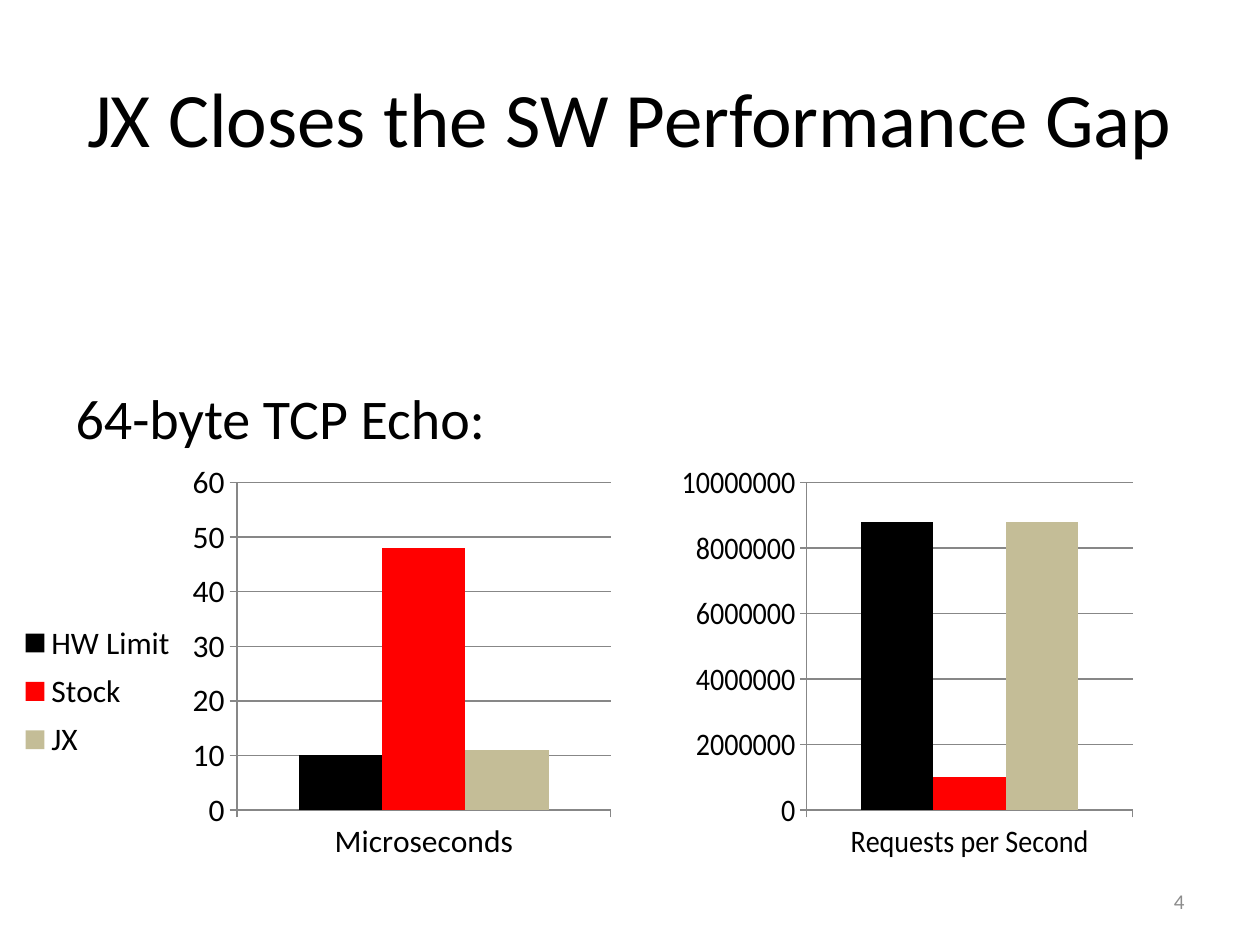
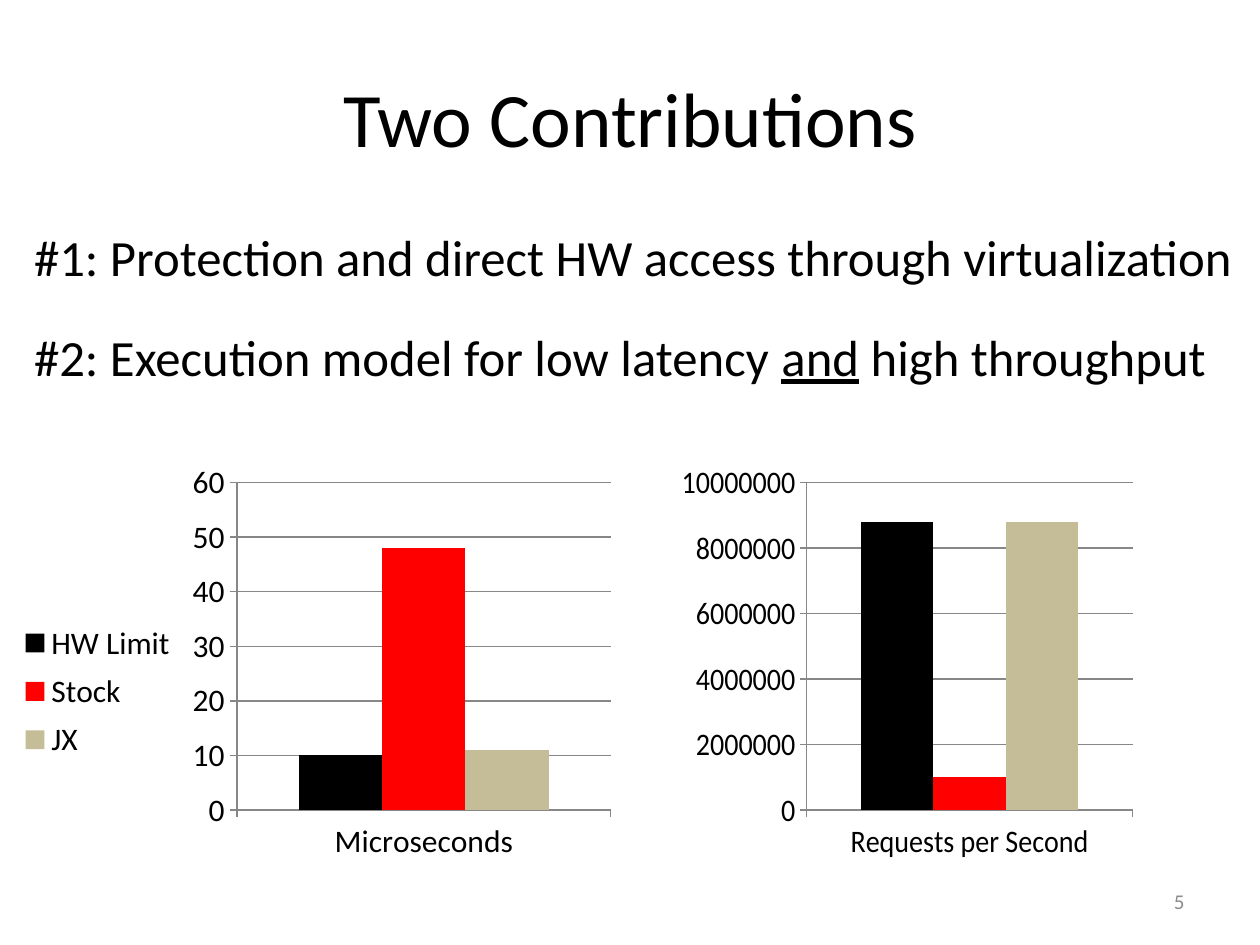
from lxml import etree
from pptx import Presentation
from pptx.chart.data import CategoryChartData
from pptx.dml.color import RGBColor
from pptx.enum.chart import XL_CHART_TYPE, XL_LEGEND_POSITION, XL_TICK_MARK
from pptx.enum.text import MSO_ANCHOR, MSO_AUTO_SIZE, PP_ALIGN
from pptx.oxml.ns import qn
from pptx.util import Inches, Pt

COLUMNS = XL_CHART_TYPE.COLUMN_CLUSTERED
LEGEND_RIGHT = XL_LEGEND_POSITION.RIGHT
TICK_OUT = XL_TICK_MARK.OUTSIDE
TOP, MIDDLE, BOTTOM = MSO_ANCHOR.TOP, MSO_ANCHOR.MIDDLE, MSO_ANCHOR.BOTTOM
LEFT, CENTER, RIGHT = PP_ALIGN.LEFT, PP_ALIGN.CENTER, PP_ALIGN.RIGHT
NO_FIT = MSO_AUTO_SIZE.NONE

COLORS = {"text": "000000", "number": "8C8C8C", "axis": "878787",
          "limit": "000000", "stock": "FF0000", "new": "C4BD97"}
BAR_COLORS = ("limit", "stock", "new")
FONT = "Calibri"
CELL = 0.25  # grid of 40 columns by 30 rows, in inches
CHART_ROW, CHART_ROWS = 14.72, 13.08
PLOT_TOP, PLOT_HEIGHT = 0.04, 0.8


def rgb(name):
    return RGBColor.from_string(COLORS[name])


def style_font(font, size, color="text", underline=None):
    font.name, font.size, font.underline = FONT, Pt(size), underline
    font.color.rgb = rgb(color)


def write(para, text, size, color="text", align=LEFT, before=0):
    """Fill a paragraph; words between underscores are underlined."""
    para.alignment, para.space_before = align, Pt(before)
    for index, part in enumerate(text.split("_")):
        span = para.add_run()
        span.text = part
        style_font(span.font, size, color, underline=True if index % 2 else None)


def set_layout(parent, position, left, top, width, height, inner=False):
    """Give a plot area or legend a fixed place, as shares of the chart."""
    for old in parent.findall(qn("c:layout")):
        parent.remove(old)
    layout = etree.Element(qn("c:layout"))
    manual = etree.SubElement(layout, qn("c:manualLayout"))
    settings = [("layoutTarget", "inner")] if inner else []
    settings += [("xMode", "edge"), ("yMode", "edge"),
                 ("x", left), ("y", top), ("w", width), ("h", height)]
    for tag, value in settings:
        etree.SubElement(manual, qn(f"c:{tag}")).set("val", str(value))
    parent.insert(position, layout)


class Pages:
    """Holds the deck, its style and the current slide."""

    def __init__(self):
        self.deck = Presentation()
        self.deck.slide_width, self.deck.slide_height = Inches(10), Inches(7.5)
        self.page = None

    def place(self, box, left, top, width, height):
        box.left, box.top, box.width, box.height = (
            Inches(cells * CELL) for cells in (left, top, width, height))

    def frame(self, box, anchor):
        frame = box.text_frame
        frame.word_wrap, frame.auto_size = True, NO_FIT
        frame.vertical_anchor = anchor
        return frame

    def start(self, title, number):
        self.page = self.deck.slides.add_slide(self.deck.slide_layouts[1])
        box = self.page.shapes.title
        self.place(box, 2, 1.2, 36, 5)
        write(self.frame(box, MIDDLE).paragraphs[0], title, 44, align=CENTER)
        box = self.page.shapes.add_textbox(0, 0, 0, 0)
        self.place(box, 28.68, 27.8, 9.32, 1.6)
        write(self.frame(box, MIDDLE).paragraphs[0], str(number), 12,
              color="number", align=RIGHT)

    def body(self, lines, area, size, anchor=TOP, gap=0):
        box = self.page.placeholders[1]
        self.place(box, *area)
        frame = self.frame(box, anchor)
        for index, line in enumerate(lines):
            para = frame.add_paragraph() if index else frame.paragraphs[0]
            write(para, line, size, before=gap if index else 0)
            properties = para._p.get_or_add_pPr()
            properties.set("marL", "0")
            properties.set("indent", "0")
            etree.SubElement(properties, qn("a:buNone"))

    def chart(self, left, width, category, bars, top_value, step, plot, legend=None):
        data = CategoryChartData()
        data.categories = [category]
        for name, value in bars:
            data.add_series(name, [value])
        graphic = self.page.shapes.add_chart(COLUMNS, 0, 0, Inches(1), Inches(1), data)
        self.place(graphic, left, CHART_ROW, width, CHART_ROWS)
        chart = graphic.chart
        style_font(chart.font, 18)
        chart.has_title = False
        # Bars
        bar_plot = chart.plots[0]
        bar_plot.vary_by_categories, bar_plot.gap_width, bar_plot.overlap = False, 150, 0
        for series, color in zip(bar_plot.series, BAR_COLORS):
            series.format.fill.solid()
            series.format.fill.fore_color.rgb = rgb(color)
        # Axes and grid
        values = chart.value_axis
        values.minimum_scale, values.maximum_scale, values.major_unit = 0, top_value, step
        values.has_major_gridlines = True
        for axis in (chart.category_axis, values):
            axis.major_tick_mark = TICK_OUT
        for part in (chart.category_axis, values, values.major_gridlines):
            part.format.line.color.rgb = rgb("axis")
            part.format.line.width = Pt(0.75)
        # Fixed places
        plot_left, plot_width = plot
        set_layout(chart.element.find(".//" + qn("c:plotArea")), 0,
                   plot_left, PLOT_TOP, plot_width, PLOT_HEIGHT, inner=True)
        chart.has_legend = legend is not None
        if legend:
            chart.legend.position = LEGEND_RIGHT
            chart.legend.include_in_layout = False
            set_layout(chart.element.find(".//" + qn("c:legend")), 1, *legend)

    def echo_charts(self):
        """Latency on the left, throughput on the right."""
        self.chart(-0.12, 20.12, "Microseconds",
                   [("HW Limit", 10), ("Stock", 48), ("JX", 11)],
                   60, 10, plot=(0.38, 0.59), legend=(0.02, 0.36, 0.28, 0.38))
        self.chart(21.64, 14.72, "Requests per Second",
                   [("Series 1", 8800000), ("Series 2", 1000000), ("Series 3", 8800000)],
                   10000000, 2000000, plot=(0.18, 0.79))


def main():
    pages = Pages()

    # Performance gap
    pages.start("JX Closes the SW Performance Gap", 4)
    pages.body(["64-byte TCP Echo:"], (2, 7, 36, 7.5), 32, anchor=BOTTOM)
    pages.echo_charts()

    # Contributions
    pages.start("Two Contributions", 5)
    pages.body(["#1: Protection and direct HW access through virtualization",
                "#2: Execution model for low latency _and_ high throughput"],
               (0.68, 6.96, 40, 9.04), 29, gap=22.5)
    pages.echo_charts()

    pages.deck.save("out.pptx")


if __name__ == "__main__":
    main()
